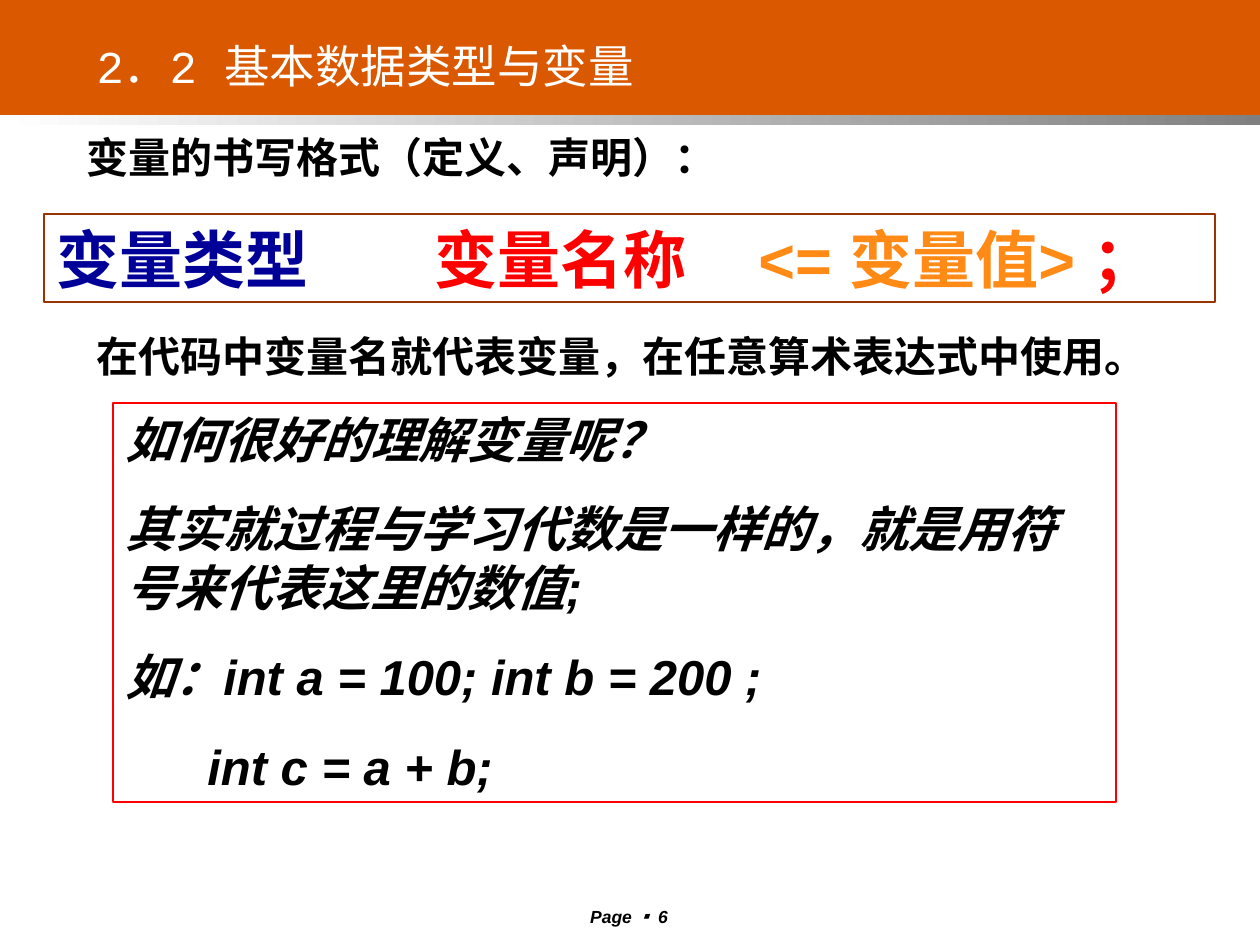
from lxml.etree import SubElement
from pptx import Presentation
from pptx.dml.color import RGBColor
from pptx.enum.shapes import MSO_SHAPE
from pptx.enum.text import MSO_ANCHOR, PP_ALIGN
from pptx.oxml.ns import qn
from pptx.util import Emu, Pt

# Content: positions are (left, top, width, height) in px
BAND = (0, 0, 1265, 115)
BAND_SHADE = (0, 115, 1265, 10)
BAND_COLOUR, SHADE_FROM, SHADE_TO = "DA5800", "FFFFFF", "808080"

TITLE = "2．2 基本数据类型与变量"
FORMAT_HEADING = "变量的书写格式（定义、声明）："
USAGE_NOTE = "在代码中变量名就代表变量，在任意算术表达式中使用。"
SYNTAX = [
    ("变量类型\t", "000099"),
    ("变量名称\t", "FF0000"),
    ("<= 变量值> ", "FF8A15"),
    ("；", "FF0000"),
]
SYNTAX_TABS = (378, 702)
EXPLANATION = [
    "如何很好的理解变量呢？",
    "其实就过程与学习代数是一样的，就是用符号来代表这里的数值;",
    "如：int a = 100; int b = 200 ;",
    "int c = a + b;",
]
CODE_INDENT = 82
FOOTER = [("Page ", "Arial"), ("▪ ", "Noto Sans CJK JP"), ("6", "Arial")]


def px(length):
    return Emu(round(length * 914400 / 126))


def rgb(colour):
    return RGBColor.from_string(colour)


def add_band(box):
    band = slide.shapes.add_shape(MSO_SHAPE.RECTANGLE, *map(px, box))
    band.shadow.inherit = False
    band.line.fill.background()
    return band


def add_text(box, lines, size, font="Arial", colour="000000", bold=True,
             italic=False, before=0, align=PP_ALIGN.LEFT, outline=None):
    """Each line is a string or a list of run strings."""
    text_box = slide.shapes.add_textbox(*map(px, box))
    if outline:
        text_box.line.color.rgb = rgb(outline)
        text_box.line.width = Pt(0.75)
    frame = text_box.text_frame
    frame.word_wrap = True
    for number, line in enumerate(lines):
        paragraph = frame.paragraphs[0] if number == 0 else frame.add_paragraph()
        paragraph.alignment = align
        paragraph.space_before = Pt(before)
        paragraph.font.name = font
        paragraph.font.size = Pt(size)
        paragraph.font.bold = bold
        paragraph.font.italic = italic
        paragraph.font.color.rgb = rgb(colour)
        for words in [line] if isinstance(line, str) else line:
            paragraph.add_run().text = words
    return frame


deck = Presentation()
deck.slide_width, deck.slide_height = px(1260), px(945)
slide = deck.slides.add_slide(deck.slide_layouts[6])

# Header band with a fading lower edge
header = add_band(BAND)
header.fill.solid()
header.fill.fore_color.rgb = rgb(BAND_COLOUR)

shade = add_band(BAND_SHADE)
shade.fill.gradient()
shade.fill.gradient_angle = 0
for stop, colour, position in zip(shade.fill.gradient_stops,
                                  (SHADE_FROM, SHADE_TO), (0, 1)):
    stop.color.rgb = rgb(colour)
    stop.position = position

# Footer
footer = add_text((530, 900, 198, 28), [[words for words, _ in FOOTER]], 10,
                  italic=True, align=PP_ALIGN.CENTER)
for run, (_, font) in zip(footer.paragraphs[0].runs, FOOTER):
    run.font.name = font

# Title
title = add_text((78, 26, 575, 79), [TITLE], 26, font="Courier New",
                 colour="FFFFFF", bold=False, before=4, align=PP_ALIGN.CENTER)
title.vertical_anchor = MSO_ANCHOR.MIDDLE
title.paragraphs[0].space_after = Pt(4)

# Declaration format
add_text((74, 125, 1081, 63), [FORMAT_HEADING], 24, before=15)
syntax = add_text((44, 214, 1171, 88), [[words for words, _ in SYNTAX]], 36,
                  before=22.5, outline="993300").paragraphs[0]
for run, (_, colour) in zip(syntax.runs, SYNTAX):
    run.font.color.rgb = rgb(colour)
properties = syntax.runs[0].font._element.getparent().getparent().find(qn("a:pPr"))
tab_list = SubElement(properties, qn("a:tabLst"))
properties.find(qn("a:defRPr")).addprevious(tab_list)
for stop in SYNTAX_TABS:
    SubElement(tab_list, qn("a:tab"), pos=str(px(stop)), algn="l")

# Explanation
add_text((84, 324, 1081, 63), [USAGE_NOTE], 24, before=15)
explanation = add_text((113, 403, 1003, 399), EXPLANATION, 28, italic=True,
                       before=17.5, outline="FF0000")
code_line = explanation.paragraphs[-1]
code_line._p.get_or_add_pPr().set("marL", str(px(CODE_INDENT)))

deck.save("out.pptx")
